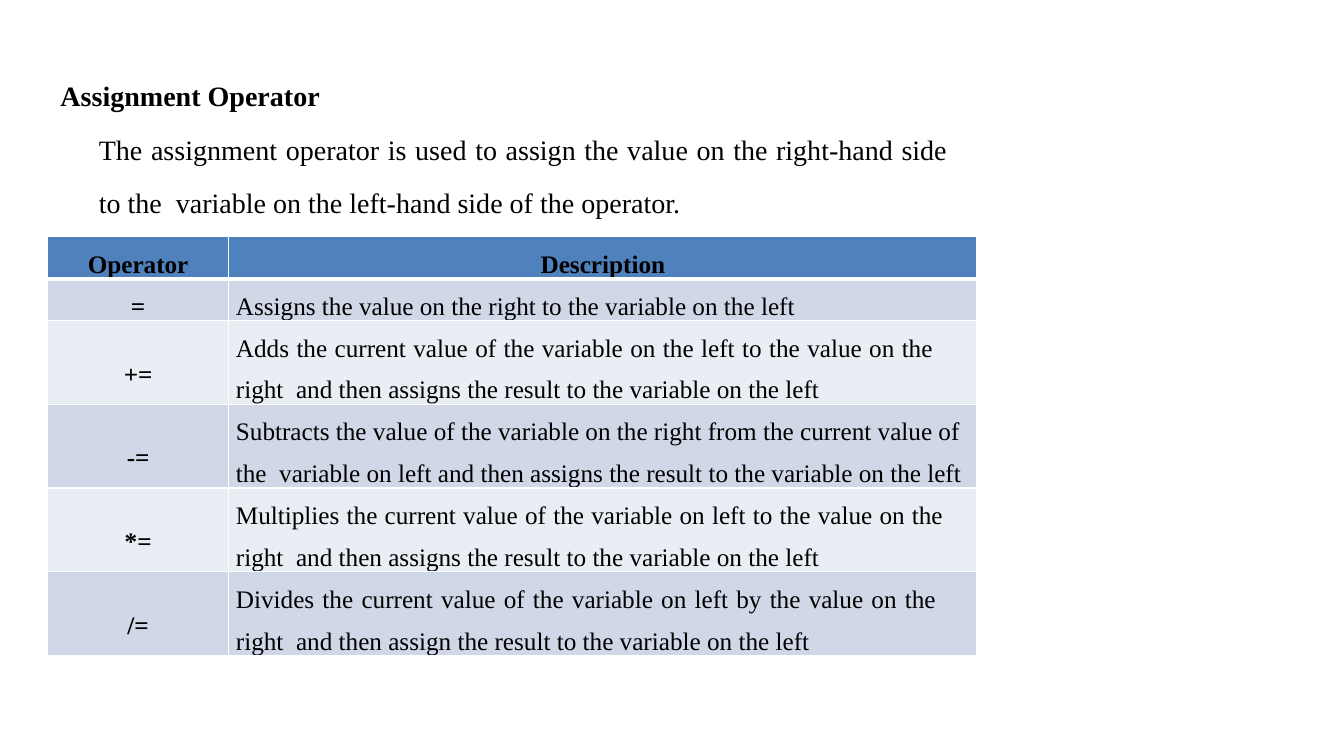
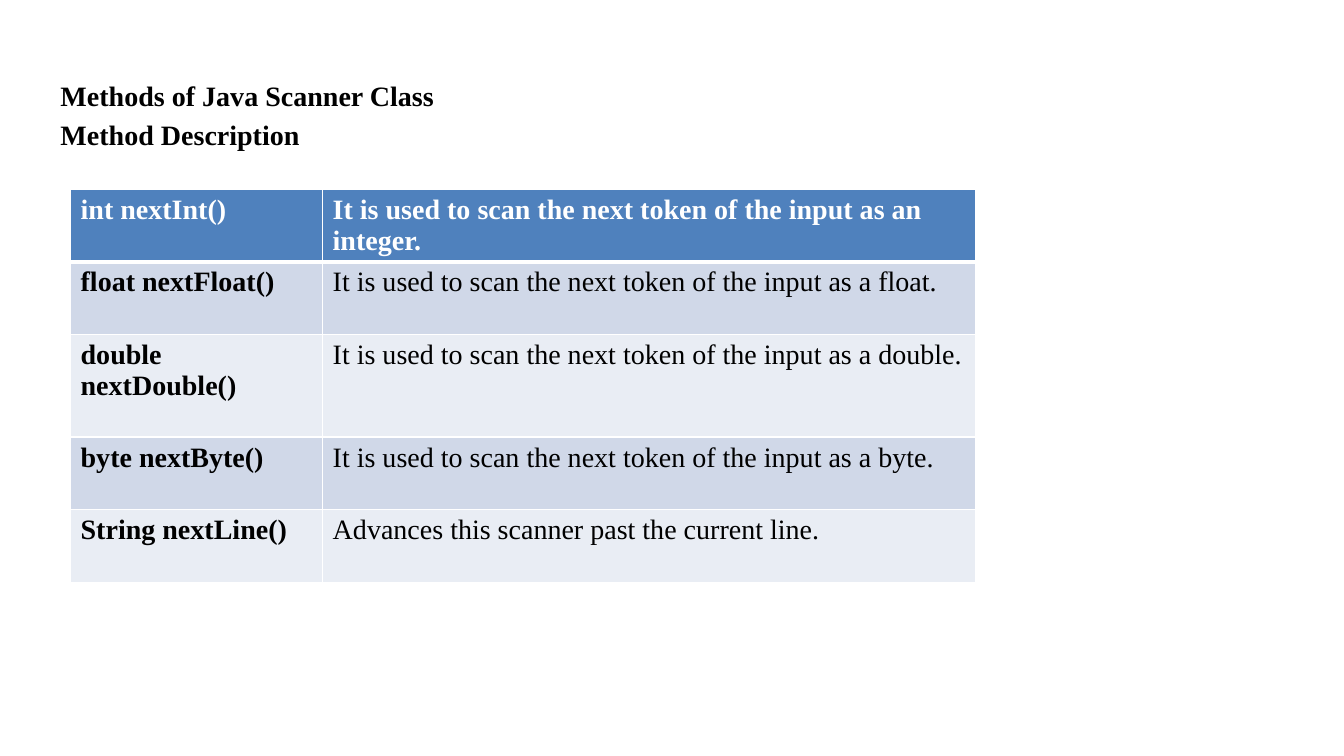
from lxml import etree
from pptx import Presentation
from pptx.dml.color import RGBColor
from pptx.enum.text import MSO_ANCHOR as Anchor, MSO_AUTO_SIZE as AutoSize, PP_ALIGN as Align
from pptx.oxml.ns import qn
from pptx.util import Inches, Pt

BLACK = RGBColor(0x00, 0x00, 0x00)
WHITE = RGBColor(0xFF, 0xFF, 0xFF)
HEADER_BLUE = RGBColor(0x4F, 0x81, 0xBD)
BANDS = (RGBColor(0xE9, 0xED, 0xF4), RGBColor(0xD0, 0xD8, 0xE8))
FONT = "Times New Roman"


class Deck:
    """Shared style plus the slide being built."""

    def __init__(self):
        self.presentation = Presentation()
        self.presentation.slide_width = Inches(13.33)
        self.presentation.slide_height = Inches(7.5)
        self.slide = None

    def add_slide(self, title):
        layout = self.presentation.slide_layouts[1]
        self.slide = self.presentation.slides.add_slide(layout)
        self.place_text(self.slide.shapes.title, title, 0.73, 0.42, bold=True)

    def place_text(self, shape, text, top, height, bold=False, align=Align.LEFT,
                   indent=0, line_spacing=1.0):
        shape.left, shape.top = Inches(0.5), Inches(top)
        shape.width, shape.height = Inches(9), Inches(height)
        frame = shape.text_frame
        frame.text = text
        frame.word_wrap = True
        frame.auto_size = AutoSize.NONE
        frame.vertical_anchor = Anchor.TOP
        paragraph = frame.paragraphs[0]
        properties = paragraph._p.get_or_add_pPr()
        properties.set("marL", str(Inches(indent)))
        properties.set("indent", "0")
        etree.SubElement(properties, qn("a:buNone"))
        paragraph.space_before = Pt(0)
        self.style(paragraph, 20, bold, BLACK, align, line_spacing)

    def body(self, text, top, height, **options):
        self.place_text(self.slide.placeholders[1], text, top, height, **options)

    def style(self, paragraph, size, bold, color, align=Align.LEFT, line_spacing=1.0):
        paragraph.alignment = align
        paragraph.line_spacing = line_spacing
        for run in paragraph.runs:
            font = run.font
            font.name, font.size, font.bold = FONT, Pt(size), bold
            font.color.rgb = color

    def table(self, rows, left, top, widths, heights):
        """Add a banded table with a header row and return it with its text set."""
        frame = self.slide.shapes.add_table(
            len(rows), len(widths), Inches(left), Inches(top),
            Inches(sum(widths)), Inches(sum(heights)))
        table = frame.table
        for column, width in zip(table.columns, widths):
            column.width = Inches(width)
        for index, (row, height, texts) in enumerate(zip(table.rows, heights, rows)):
            row.height = Inches(height)
            for cell, text in zip(row.cells, texts):
                cell.text = text
                self.borders(cell, top=3 if index == 1 else 1,
                             bottom=3 if index == 0 else 1)
                cell.fill.solid()
                cell.fill.fore_color.rgb = BANDS[index % 2] if index else HEADER_BLUE
        return table

    def borders(self, cell, top, bottom):
        properties = cell._tc.get_or_add_tcPr()
        for side, width in (("L", 1), ("R", 1), ("T", top), ("B", bottom)):
            line = etree.SubElement(properties, qn(f"a:ln{side}"), w=str(Pt(width)))
            fill = etree.SubElement(line, qn("a:solidFill"))
            etree.SubElement(fill, qn("a:srgbClr"), val=str(WHITE))


def assignment_slide(deck):
    deck.add_slide("Assignment Operator")
    deck.body("The assignment operator is used to assign the value on the right-hand side "
              "to the  variable on the left-hand side of the operator.",
              1.06, 1.15, align=Align.JUSTIFY, indent=0.38, line_spacing=1.6)

    # Operator, description and right margin of the description
    operators = [
        ("Operator", "Description", 0),
        ("=", "Assigns the value on the right to the variable on the left", 0),
        ("+=", "Adds the current value of the variable on the left to the value on the "
               "right  and then assigns the result to the variable on the left", 0.43),
        ("-=", "Subtracts the value of the variable on the right from the current value of "
               "the  variable on left and then assigns the result to the variable on the left", 0),
        ("*=", "Multiplies the current value of the variable on left to the value on the "
               "right  and then assigns the result to the variable on the left", 0.33),
        ("/=", "Divides the current value of the variable on left by the value on the "
               "right  and then assign the result to the variable on the left", 0.4),
    ]
    table = deck.table([row[:2] for row in operators], 0.47, 2.35,
                       (1.8, 7.42), [0.41] * 2 + [0.83] * 4)
    for index, (row, (*_, margin)) in enumerate(zip(table.rows, operators)):
        for column, cell in enumerate(row.cells):
            centered = index == 0 or column == 0
            cell.vertical_anchor = Anchor.MIDDLE
            cell.margin_top = Inches(0.1 if index > 1 and column == 0 else 0)
            cell.margin_bottom = 0
            cell.margin_left = Inches(0 if centered else 0.07)
            cell.margin_right = Inches(0 if centered else margin)
            align = Align.CENTER if centered else Align.JUSTIFY if margin else Align.LEFT
            deck.style(cell.text_frame.paragraphs[0], 18, centered, BLACK, align, 1.5)


def scanner_slide(deck):
    deck.add_slide("Methods of Java Scanner Class")
    deck.body("Method Description", 1.12, 0.42, bold=True)

    # Scanner methods
    scan = "It is used to scan the next token of the input as "
    methods = [
        ("int nextInt()", scan + "an integer."),
        ("float nextFloat()", scan + "a float."),
        ("double nextDouble()", scan + "a double."),
        ("byte nextByte()", scan + "a byte."),
        ("String nextLine()", "Advances this scanner past the current line."),
    ]
    table = deck.table(methods, 0.7, 1.88, (2.5, 6.48), (0.7, 0.72, 1.02, 0.72, 0.72))
    for index, row in enumerate(table.rows):
        for column, cell in enumerate(row.cells):
            deck.style(cell.text_frame.paragraphs[0], 20, index == 0 or column == 0,
                       BLACK if index else WHITE)


def main():
    deck = Deck()
    assignment_slide(deck)
    scanner_slide(deck)
    deck.presentation.save("out.pptx")


if __name__ == "__main__":
    main()
